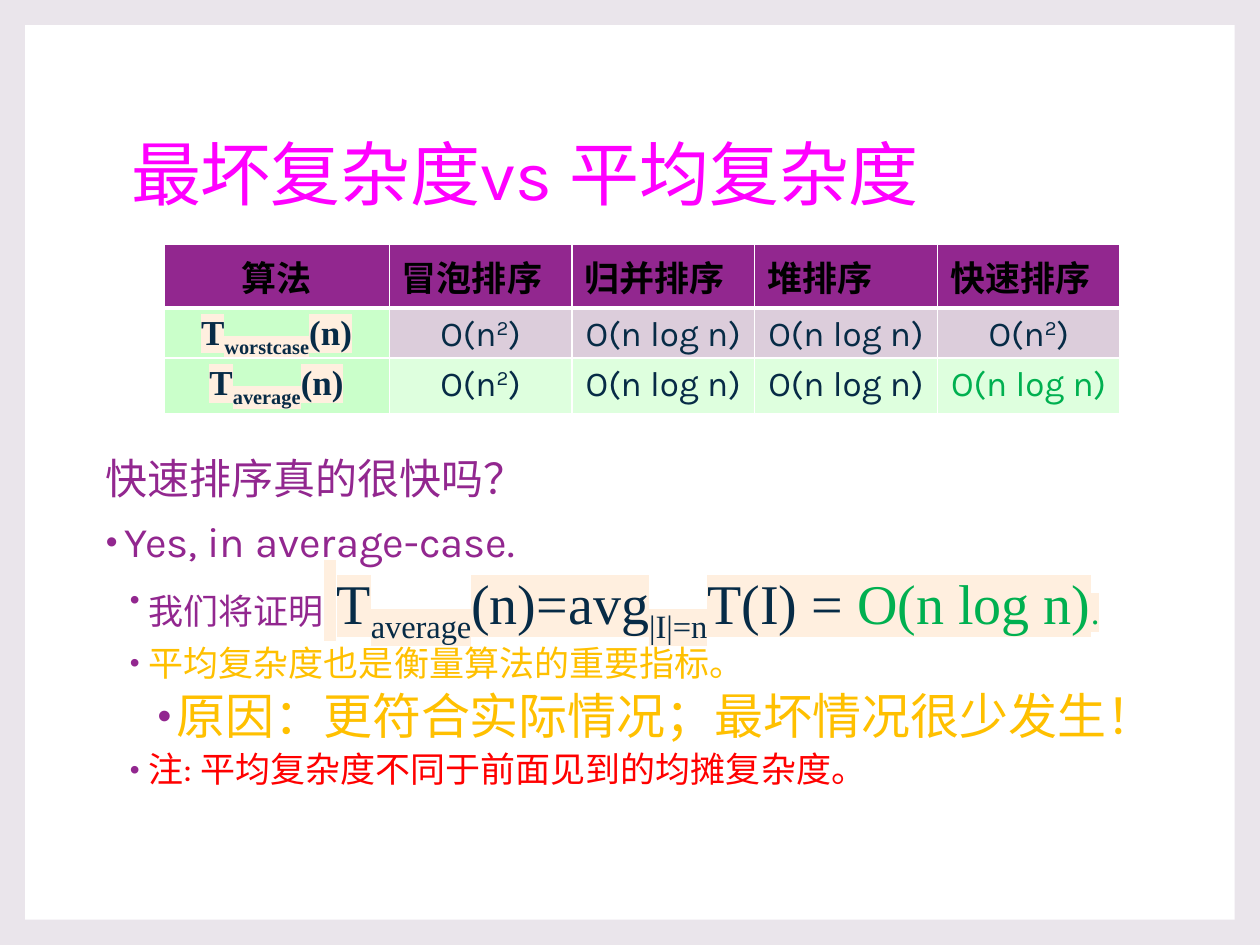
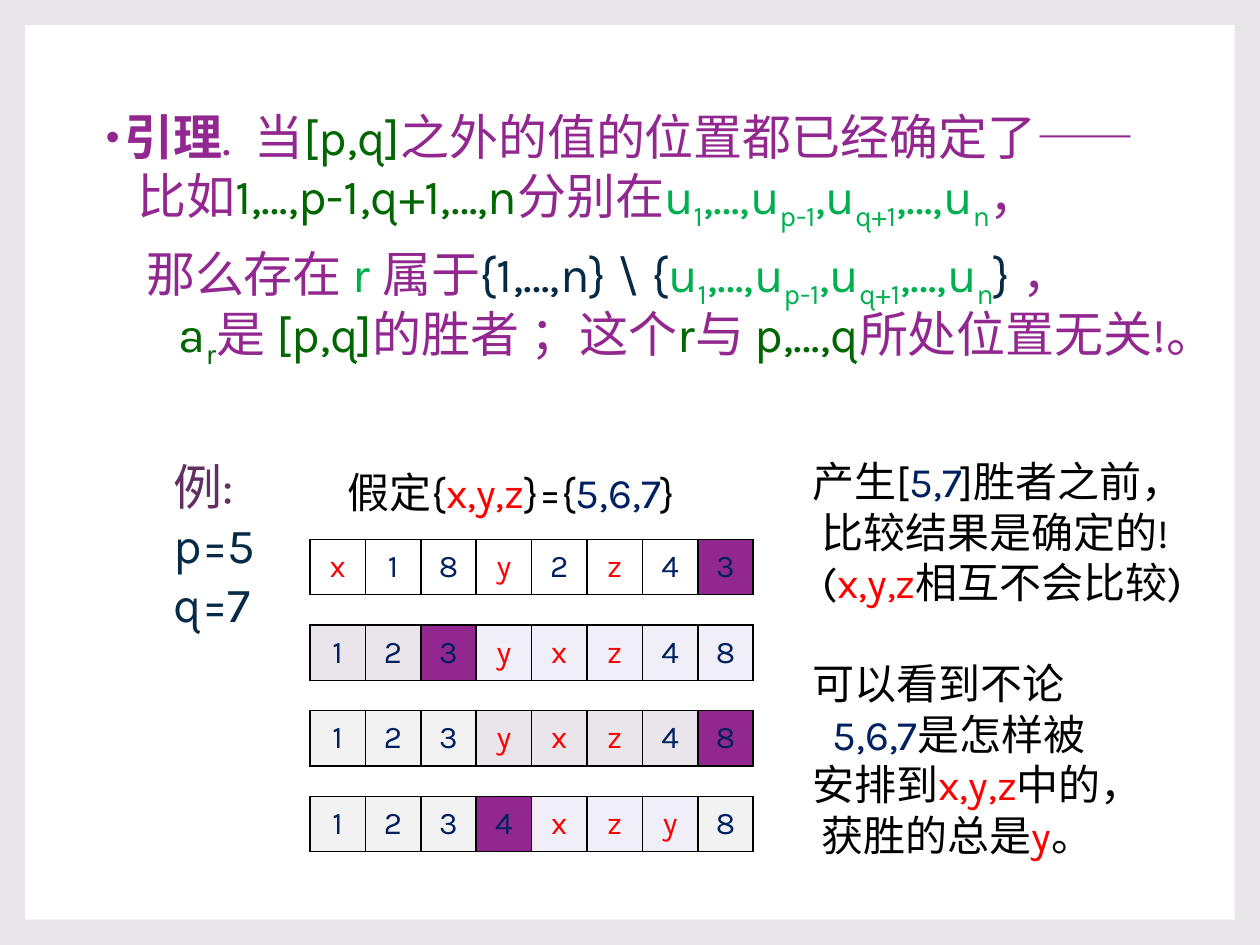
import pptx
import pptx.util
import pptx.dml.color
import pptx.enum.shapes
import pptx.enum.text
import pptx.oxml.ns
import lxml.etree

Inches = pptx.util.Inches
Pt = pptx.util.Pt
PP_ALIGN = pptx.enum.text.PP_ALIGN
MSO_ANCHOR = pptx.enum.text.MSO_ANCHOR
qn = pptx.oxml.ns.qn

COLORS = {
    "backdrop": "EAE5EB", "white": "FFFFFF", "black": "000000",
    "purple": "92278F", "plum": "632E62", "magenta": "FF00FF",
    "ink": "072B46", "navy": "002060", "red": "FF0000",
    "green": "00B050", "forest": "006600", "gold": "FFC000",
    "peach": "FFEFDF", "mint": "CAFFCA", "pale mint": "DEFFDE",
    "mauve": "DCCDDB", "lavender": "F0EFF8", "grey": "F2F2F2",
}
SANS, SERIF = "Karla", "Times New Roman"


def rgb(name):
    return pptx.dml.color.RGBColor.from_string(COLORS[name])


def add_words(paragraph, text, size=24, font=SANS, color="black", bold=False, highlight=None):
    for position, part in enumerate(text.split("~")):
        if not part:
            continue
        run = paragraph.add_run()
        run.text = part.lstrip("^")
        run.font.size = Pt(size)
        run.font.name = font
        run.font.bold = bold
        run.font.color.rgb = rgb(color)
        properties = run._r.get_or_add_rPr()
        if position % 2:
            properties.set("baseline", "30000" if part.startswith("^") else "-25000")
        if highlight:
            marker = lxml.etree.Element(qn("a:highlight"))
            lxml.etree.SubElement(marker, qn("a:srgbClr"), val=COLORS[highlight])
            properties.find(qn("a:solidFill")).addnext(marker)


class Deck:
    def __init__(self):
        self.presentation = pptx.Presentation()
        self.presentation.slide_width = Inches(10)
        self.presentation.slide_height = Inches(7.5)
        self.slide = None

    def add_slide(self):
        self.slide = self.presentation.slides.add_slide(self.presentation.slide_layouts[1])

    def style_master(self):
        master = self.presentation.slide_master
        master.background.fill.solid()
        master.background.fill.fore_color.rgb = rgb("backdrop")
        panel = self.slide.shapes.add_shape(
            pptx.enum.shapes.MSO_SHAPE.RECTANGLE,
            Inches(0.2), Inches(0.2), Inches(9.6), Inches(7.1))
        panel.shadow.inherit = False
        panel.fill.solid()
        panel.fill.fore_color.rgb = rgb("white")
        panel.line.fill.background()
        panel.element.nvSpPr.cNvPr.set("id", "99")
        master.shapes.element.insert(2, panel.element)

    def place(self, shape, left, top, width, height):
        shape.left, shape.top = Inches(left), Inches(top)
        shape.width, shape.height = Inches(width), Inches(height)
        shape.text_frame.word_wrap = True
        shape.text_frame.auto_size = pptx.enum.text.MSO_AUTO_SIZE.NONE

    def add_paragraphs(self, frame, paragraphs):
        for number, (runs, layout) in enumerate(paragraphs):
            paragraph = frame.paragraphs[0] if number == 0 else frame.add_paragraph()
            self.lay_out(paragraph, **layout)
            for text, style in runs:
                add_words(paragraph, text, **style)

    def lay_out(self, paragraph, level=0, margin=0, indent=0, spacing=1.0, before=0, after=0,
                bullet=False, align=PP_ALIGN.LEFT):
        paragraph.level = level
        paragraph.alignment = align
        paragraph.line_spacing = spacing
        paragraph.space_before = Pt(before)
        paragraph.space_after = Pt(after)
        properties = paragraph._p.get_or_add_pPr()
        properties.set("marL", str(Inches(margin)))
        properties.set("indent", str(Inches(indent)))
        if bullet:
            color = lxml.etree.SubElement(properties, qn("a:buClr"))
            lxml.etree.SubElement(color, qn("a:srgbClr"), val=COLORS["purple"])
            lxml.etree.SubElement(properties, qn("a:buSzPct"), val="80000")
            lxml.etree.SubElement(properties, qn("a:buChar"), char="•")
        else:
            lxml.etree.SubElement(properties, qn("a:buNone"))

    def title(self, text, **style):
        heading = self.slide.shapes.title
        self.place(heading, 0.94, 0.67, 8.1, 1.48)
        heading.text_frame.vertical_anchor = MSO_ANCHOR.MIDDLE
        self.add_paragraphs(heading.text_frame, [([(text, style)], dict(spacing=0.9))])

    def drop_title(self):
        heading = self.slide.shapes.title.element
        heading.getparent().remove(heading)

    def body(self, box, paragraphs):
        content = self.slide.placeholders[1]
        self.place(content, *box)
        self.add_paragraphs(content.text_frame, paragraphs)

    def text_box(self, box, paragraphs):
        note = self.slide.shapes.add_textbox(*map(Inches, box))
        self.place(note, *box)
        self.add_paragraphs(note.text_frame, paragraphs)

    def table(self, left, top, widths, height, rows):
        grid = self.slide.shapes.add_table(
            len(rows), len(widths), Inches(left), Inches(top),
            Inches(sum(widths)), Inches(height * len(rows))).table
        grid.first_row = grid.horz_banding = False
        for column, width in zip(grid.columns, widths):
            column.width = Inches(width)
        for row, entries in zip(grid.rows, rows):
            row.height = Inches(height)
            for cell, entry in zip(row.cells, entries):
                self.cell(cell, **entry)

    def cell(self, cell, text, fill, border="white", bottom=1, align=PP_ALIGN.CENTER,
             compact=False, **style):
        self.add_paragraphs(cell.text_frame, [([(text, style)], dict(align=align))])
        if compact:
            cell.vertical_anchor = MSO_ANCHOR.MIDDLE
            cell.margin_left = cell.margin_right = Inches(0.08)
            cell.margin_top = cell.margin_bottom = Inches(0.04)
        properties = cell._tc.get_or_add_tcPr()
        for side, width in zip("LRTB", (1, 1, 1, bottom)):
            line = lxml.etree.SubElement(properties, qn("a:ln" + side), w=str(Pt(width)))
            paint = lxml.etree.SubElement(line, qn("a:solidFill"))
            lxml.etree.SubElement(paint, qn("a:srgbClr"), val=COLORS[border])
        cell.fill.solid()
        cell.fill.fore_color.rgb = rgb(fill)


def complexity_slide(deck):
    deck.title("最坏复杂度vs 平均复杂度", size=40, color="magenta")

    square, linear_log = "O(n~^2~)", "O(n log n)"
    measure = dict(size=20, font=SERIF, color="ink", bold=True, highlight="peach", fill="mint")

    def costs(name, values, fill, bottom=1):
        return [dict(measure, text=name, bottom=bottom)] + [
            dict(text=value, size=20, color="ink", fill=fill, bottom=bottom) for value in values]

    algorithms = ["算法", "冒泡排序", "归并排序", "堆排序", "快速排序"]
    header = [dict(text=name, size=20, bold=True, fill="purple", bottom=3,
                   align=PP_ALIGN.LEFT if column else PP_ALIGN.CENTER)
              for column, name in enumerate(algorithms)]
    worst = costs("T~worstcase~(n)", [square, linear_log, linear_log, square], "mauve")
    average = costs("T~average~(n)", [square] + [linear_log] * 3, "pale mint", bottom=3)
    average[-1]["color"] = "green"
    widths = [1.79] + [1.45] * 4
    deck.table(1.3, 1.94, widths, 0.41, [header, worst])
    deck.table(1.3, 2.84, widths, 0.43, [average])

    point = dict(level=1, margin=0.38, indent=-0.15, spacing=0.9, before=1.5, after=3, bullet=True)
    formula = dict(size=32, font=SERIF, color="ink", highlight="peach")
    result = dict(formula, color="green")
    purple = dict(color="purple")
    deck.body((0.7, 3.59, 9.05, 3.27), [
        ([("快速排序真的很快吗？", purple)], dict(margin=0.04, spacing=0.9, before=24)),
        ([("Yes, in average-case.", purple)],
         dict(margin=0.19, indent=-0.15, spacing=0.9, before=10, bullet=True)),
        ([("我们将证明", dict(purple, size=20)),
          (" T~average~(n)=avg~|I|=n~T(I) = ", formula),
          ("O(n log n)", result), (".", dict(result, size=20))], point),
        ([("平均复杂度也是衡量算法的重要指标。", dict(size=20, color="gold"))], point),
        ([("原因：更符合实际情况；最坏情况很少发生！", dict(size=28, font=SERIF, color="gold"))],
         dict(point, level=2, margin=0.6)),
        ([("注: 平均复杂度不同于前面见到的均摊复杂度。", dict(size=20, color="red"))], point),
    ])


def lemma_slide(deck):
    deck.drop_title()
    purple, forest, green, ink = (
        dict(size=28, color=color) for color in ("purple", "forest", "green", "ink"))
    fixed_places = ("u~1~,…,u~p-1~,u~q+1~,…,u~n~", green)
    deck.body((0.7, 0.85, 9.3, 2.37), [
        ([("引理", dict(purple, bold=True)), (".  当", purple), ("[p,q]", forest),
          ("之外的值的位置都已经确定了——", purple)],
         dict(margin=0.19, indent=-0.15, spacing=0.9, before=10, bullet=True)),
        ([("比如", purple), ("1,…,p-1,q+1,…,n", forest), ("分别在", purple),
          fixed_places, ("，", purple)], dict(margin=0.29, spacing=0.9)),
        ([("那么存在 ", purple), ("r ", green), ("属于", purple), ("{1,…,n} \\ {", ink),
          fixed_places, ("} ", ink), ("，", purple)],
         dict(indent=0.36, spacing=0.9, before=10)),
        ([("a~r~", forest), ("是 ", purple), ("[p,q]", forest), ("的胜者 ；这个", purple),
          ("r", forest), ("与 ", purple), ("p,…,q", forest), ("所处位置无关!。", purple)],
         dict(indent=0.62, spacing=0.9)),
    ])

    deck.text_box((1.28, 3.57, 1, 1.51), [
        ([("例:", dict(size=28, color="plum"))], {}),
        ([("p=5", ink)], {}),
        ([("q=7", ink)], {}),
    ])

    fills = {"w": "white", "p": "purple", "b": "backdrop", "l": "lavender", "g": "grey"}
    arrays = [("x18y2z43", "wwwwwwwp"), ("123yxz48", "bbplllll"),
              ("123yxz48", "gggbbbbp"), ("1234xzy8", "gggplllg")]
    for step, (values, shades) in enumerate(arrays):
        entries = [dict(text=value, size=18, color="red" if value.isalpha() else "navy",
                        fill=fills[shade], border="black", compact=True)
                   for value, shade in zip(values, shades)]
        deck.table(2.46, 4.28 + 0.68 * step, [0.44] * 8, 0.44, [entries])

    plain, navy, red = {}, dict(color="navy"), dict(color="red")
    deck.text_box((6.35, 3.57, 3.23, 3.33), [
        ([("产生[", plain), ("5,7", navy), ("]胜者之前，", plain)], {}),
        ([(" 比较结果是确定的!", plain)], {}),
        ([(" (", plain), ("x,y,z", red), ("相互不会比较)", plain)], {}),
        ([("可以看到不论", plain)], dict(before=29)),
        ([("5,6,7", navy), ("是怎样被", plain)], dict(indent=0.16)),
        ([("安排到", plain), ("x,y,z", red), ("中的，", plain)], {}),
        ([(" 获胜的总是", plain), ("y", red), ("。", plain)], {}),
    ])
    deck.text_box((2.66, 3.65, 3.67, 0.5), [
        ([("假定{", plain), ("x,y,z", red), ("}={", plain), ("5,6,7", navy), ("}", plain)], {}),
    ])


def main():
    deck = Deck()
    deck.add_slide()
    deck.style_master()
    complexity_slide(deck)
    deck.add_slide()
    lemma_slide(deck)
    deck.presentation.save("out.pptx")


if __name__ == "__main__":
    main()
